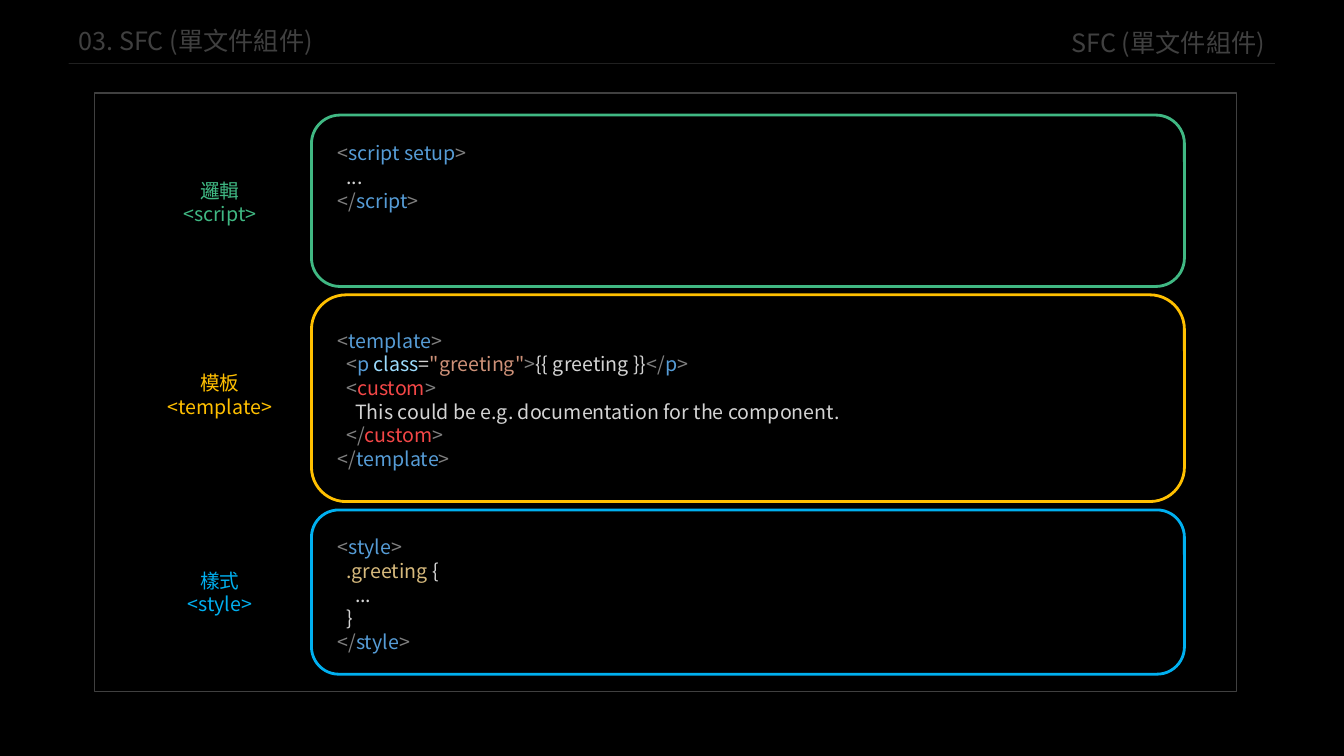
import pptx
import pptx.dml.color
import pptx.enum.shapes
import pptx.enum.text
import pptx.util
from lxml import etree
from pptx.oxml.ns import qn

Cm, Pt = pptx.util.Cm, pptx.util.Pt
Align = pptx.enum.text.PP_ALIGN
AutoSize = pptx.enum.text.MSO_AUTO_SIZE
Shape = pptx.enum.shapes.MSO_SHAPE

FONT = "Noto Sans CJK TC"
BLACK, DIM = "000000", "404040"
BRACKET, TAG, ATTRIBUTE, STRING = "808080", "569CD6", "9CDCFE", "CE9178"
PLAIN, CUSTOM, SELECTOR = "D4D4D4", "F44747", "D7BA7D"

TITLE = "03. SFC (單文件組件)"
TOPIC = "SFC (單文件組件)"


def tag(name, color=TAG, opening="<"):
    return [(opening, BRACKET), (name, color), (">", BRACKET)]


def closing(name, color=TAG):
    return tag(name, color, "</")


# Each code line is its indent level and its coloured pieces
SCRIPT = [
    (0, tag("script setup")),
    (1, [("...", PLAIN)]),
    (0, closing("script")),
]
TEMPLATE = [
    (0, tag("template")),
    (1, [("<", BRACKET), ("p ", TAG), ("class", ATTRIBUTE), ("=", PLAIN),
         ('"greeting"', STRING), (">", BRACKET), ("{{ greeting }}", PLAIN)]
        + closing("p")),
    (1, tag("custom", CUSTOM)),
    (2, [("This could be e.g. documentation for the component.", PLAIN)]),
    (1, closing("custom", CUSTOM)),
    (0, closing("template")),
]
STYLE = [
    (0, tag("style")),
    (1, [(".greeting", SELECTOR), (" {", PLAIN)]),
    (2, [("...", PLAIN)]),
    (1, [("}", PLAIN)]),
    (0, closing("style")),
]

# label, colour, panel height, label top and width, code top and width, code (cm)
SECTIONS = [
    ("邏輯\n<script>", "40B883", 4.32, 4.37, 2.54, 3.43, 3.99, SCRIPT),
    ("模板\n<template>", "FFC000", 5.21, 9.22, 3.35, 8.15, 13.46, TEMPLATE),
    ("樣式\n<style>", "00B0F0", 4.14, 14.2, 2.34, 13.36, 3.15, STYLE),
]
PANEL_LEFT, PANEL_TOP, PANEL_WIDTH, PANEL_GAP = 7.85, 2.9, 22, 0.21
LABEL_CENTER, CODE_LEFT, INDENT = 5.54, 8.26, 0.22
HEADER_LEFT, HEADER_RIGHT, HEADER_TOP, HEADER_WIDTH = 1.73, 32.13, 0.56, 7.09
RULE_TOP = 1.6


def rgb(value):
    return pptx.dml.color.RGBColor.from_string(value)


def style(paragraph, size, spacing, align=Align.LEFT, color=PLAIN):
    paragraph.alignment = align
    paragraph.line_spacing = Pt(spacing)
    paragraph.font.size = Pt(size)
    paragraph.font.color.rgb = rgb(color)
    paragraph.font.name = FONT
    defaults = paragraph._p.pPr.find(qn("a:defRPr"))
    etree.SubElement(defaults, qn("a:ea")).set("typeface", FONT)


def text_height(line_count):
    return 0.29 + 0.59 * line_count


def add_text_box(left, top, width, height, wrap=False):
    box = slide.shapes.add_textbox(Cm(left), Cm(top), Cm(width), Cm(height))
    box.text_frame.word_wrap = wrap
    box.text_frame.auto_size = AutoSize.SHAPE_TO_FIT_TEXT
    return box.text_frame


def add_outline(kind, left, top, width, height, color, weight):
    outline = slide.shapes.add_shape(kind, Cm(left), Cm(top), Cm(width), Cm(height))
    outline.shadow.inherit = False
    outline.fill.background()
    outline.line.color.rgb = rgb(color)
    outline.line.width = Pt(weight)


def add_code(top, width, lines):
    frame = add_text_box(CODE_LEFT, top, width, text_height(len(lines)))
    for number, (level, pieces) in enumerate(lines):
        paragraph = frame.add_paragraph() if number else frame.paragraphs[0]
        style(paragraph, 14, 16.9)
        paragraph._p.pPr.set("marL", str(Cm(level * INDENT)))
        paragraph._p.pPr.set("indent", "0")
        for text, color in pieces:
            run = paragraph.add_run()
            run.text = text
            run.font.color.rgb = rgb(color)


def add_header():
    title = slide.shapes.title
    title.left, title.top = Cm(HEADER_LEFT), Cm(HEADER_TOP)
    title.width, title.height = Cm(HEADER_WIDTH), Cm(0.97)
    frame = title.text_frame
    frame.text = TITLE
    frame.auto_size = AutoSize.SHAPE_TO_FIT_TEXT
    frame.vertical_anchor = pptx.enum.text.MSO_ANCHOR.TOP
    style(frame.paragraphs[0], 18, 20, color=DIM)

    topic = add_text_box(HEADER_RIGHT - HEADER_WIDTH, HEADER_TOP, HEADER_WIDTH, 1.02, True)
    topic.text = TOPIC
    style(topic.paragraphs[0], 18, 21.6, Align.RIGHT, DIM)

    rule = slide.shapes.add_connector(
        pptx.enum.shapes.MSO_CONNECTOR.STRAIGHT,
        Cm(HEADER_LEFT), Cm(RULE_TOP), Cm(HEADER_RIGHT), Cm(RULE_TOP))
    rule.line.color.rgb = rgb(DIM)
    rule.line.width = Pt(0.5)
    properties = rule._element.spPr
    color = properties.find(".//" + qn("a:srgbClr"))
    etree.SubElement(color, qn("a:alpha")).set("val", "50000")
    etree.SubElement(properties, qn("a:effectLst"))


presentation = pptx.Presentation()
presentation.slide_width, presentation.slide_height = Cm(33.87), Cm(19.05)
slide = presentation.slides.add_slide(presentation.slide_layouts[5])
slide.background.fill.solid()
slide.background.fill.fore_color.rgb = rgb(BLACK)

add_header()
add_outline(Shape.RECTANGLE, 2.39, 2.34, 28.78, 15.09, DIM, 1)

panel_top = PANEL_TOP
for label, accent, height, label_top, label_width, code_top, code_width, code in SECTIONS:
    add_outline(Shape.ROUNDED_RECTANGLE, PANEL_LEFT, panel_top, PANEL_WIDTH, height, accent, 2)
    panel_top += height + PANEL_GAP

    caption = add_text_box(LABEL_CENTER - label_width / 2, label_top, label_width, text_height(2))
    caption.paragraphs[0].text = label
    style(caption.paragraphs[0], 14, 16.9, Align.CENTER, accent)

    add_code(code_top, code_width, code)

presentation.save("out.pptx")
